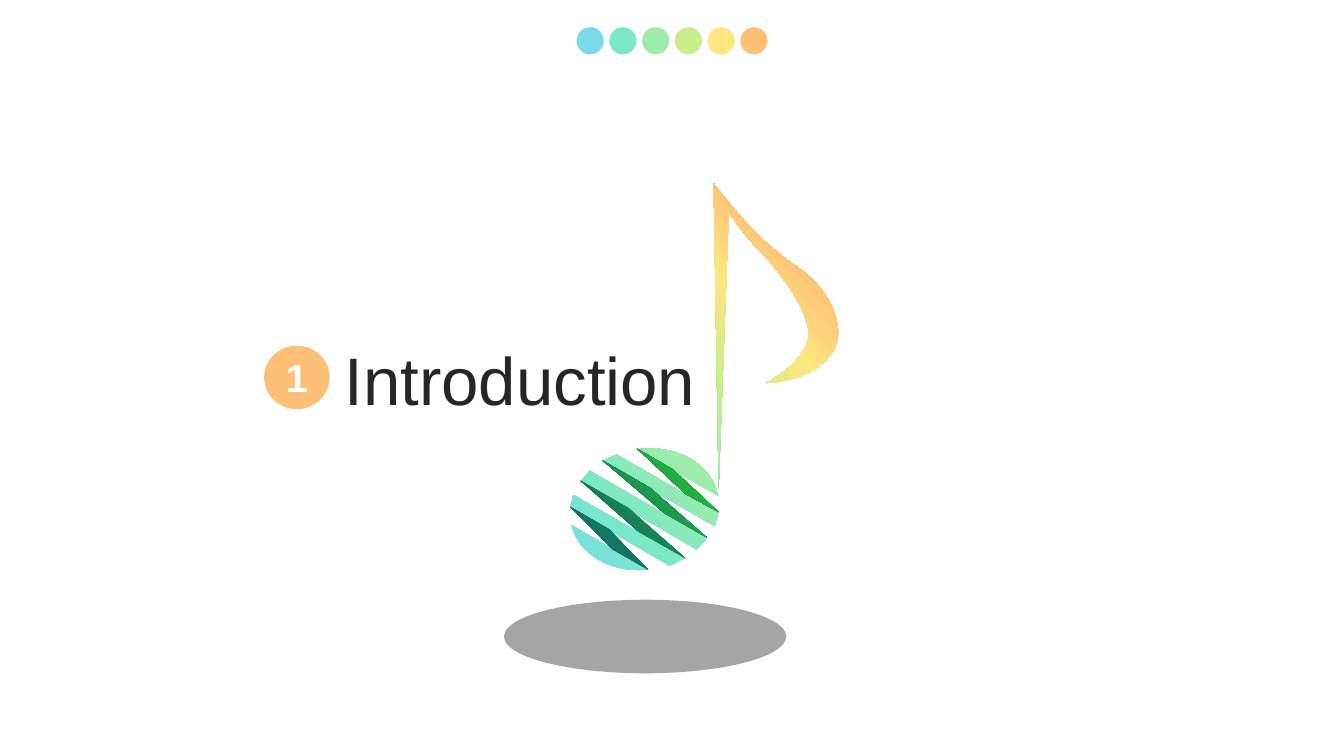
from dataclasses import dataclass

from lxml import etree
from pptx import Presentation
from pptx.dml.color import RGBColor
from pptx.enum.shapes import MSO_SHAPE
from pptx.enum.text import MSO_ANCHOR, MSO_AUTO_SIZE, PP_ALIGN
from pptx.oxml.ns import qn
from pptx.shapes.autoshape import Shape
from pptx.util import Inches, Pt

OVAL = MSO_SHAPE.OVAL
TOP, MIDDLE = MSO_ANCHOR.TOP, MSO_ANCHOR.MIDDLE
CENTER, RIGHT = PP_ALIGN.CENTER, PP_ALIGN.RIGHT
GROW = MSO_AUTO_SIZE.SHAPE_TO_FIT_TEXT

Path = list[tuple[float, ...]]
Stops = list[tuple[int, str]]


@dataclass(frozen=True)
class Theme:
    font: str = "Arial"
    ink: str = "262626"
    white: str = "FFFFFF"
    shade: str = "A5A5A5"
    sky: str = "7ADAE8"
    mint: str = "7AE8C8"
    green: str = "9EECAC"
    lime: str = "CAEE8C"
    yellow: str = "FEE680"
    orange: str = "FEC076"
    title: int = 48
    badge: int = 28


@dataclass(frozen=True)
class Box:
    left: float
    top: float
    width: float
    height: float

    def emu(self) -> tuple[int, ...]:
        return tuple(Inches(v) for v in (self.left, self.top, self.width, self.height))


@dataclass(frozen=True)
class Oval:
    box: Box
    color: str


@dataclass(frozen=True)
class Label:
    box: Box
    text: str
    size: int
    color: str
    align: PP_ALIGN
    anchor: MSO_ANCHOR
    inset: float
    bold: bool = False


@dataclass(frozen=True)
class Form:
    width: float
    height: float
    paths: list[Path]
    stops: Stops


THEME = Theme()

DOTS = [
    Oval(Box(5.72 + i * 0.65 / 2, 0.27, 0.27, 0.27), color)
    for i, color in enumerate(
        (THEME.sky, THEME.mint, THEME.green, THEME.lime, THEME.yellow, THEME.orange)
    )
]
SHADE = Oval(Box(5, 5.95, 2.8, 0.73), THEME.shade)
BADGE = Oval(Box(2.62, 3.43, 0.65, 0.63), THEME.orange)

TITLE = Label(Box(3.27, 3.3, 3.73, 0.91), "Introduction", THEME.title, THEME.ink,
              RIGHT, MIDDLE, 0.1)
NUMBER = Label(Box(2.55, 3.46, 0.79, 0.57), "1", THEME.badge, THEME.white,
               CENTER, TOP, 0.12, True)

NOTE = Form(
    2.65,
    3.84,
    [
        [(5.67, 5.21), (6.43, 5.65), (6.06, 5.69, 5.74, 5.5, 5.67, 5.21)],
        [(5.69, 4.91), (6.79, 5.54), (6.74, 5.56, 6.69, 5.59, 6.64, 5.61),
         (5.66, 5.04), (5.66, 5, 5.68, 4.95, 5.69, 4.91)],
        [(5.85, 4.67), (7.01, 5.34), (6.98, 5.38, 6.95, 5.41, 6.91, 5.45),
         (5.76, 4.78), (5.79, 4.74, 5.82, 4.71, 5.85, 4.67)],
        [(6.12, 4.51), (7.12, 5.09), (7.12, 5.13, 7.1, 5.17, 7.09, 5.22),
         (5.98, 4.58), (6.02, 4.55, 6.07, 4.53, 6.12, 4.51)],
        [(6.46, 4.45), (6.79, 4.45, 7.07, 4.64, 7.12, 4.91),
         (7.12, 4.92, 7.12, 4.92, 7.13, 4.92), (6.32, 4.46),
         (6.37, 4.45, 6.42, 4.45, 6.46, 4.45)],
        [(7.08, 1.82), (7.24, 2.02), (7.24, 2.02), (7.3, 2.09),
         (7.44, 2.26, 7.64, 2.46, 7.9, 2.64), (8.39, 2.98, 8.31, 3.37, 8.31, 3.37),
         (8.31, 3.37, 8.25, 3.76, 7.6, 3.8), (7.6, 3.8, 7.97, 3.61, 8.02, 3.35),
         (8.06, 3.1, 7.67, 2.62, 7.53, 2.48), (7.52, 2.48, 7.38, 2.33, 7.26, 2.15),
         (7.23, 2.12), (7.13, 4.85)],
    ],
    [(0, THEME.sky), (15, THEME.mint), (34, THEME.green), (51, THEME.lime),
     (68, THEME.yellow), (83, THEME.orange), (100, THEME.orange)],
)
FOLDS = Form(
    1.47,
    1.2,
    [
        [(5.66, 5.03), (6.04, 5.25), (6.43, 5.65), (6.08, 5.45)],
        [(5.76, 4.77), (6.23, 5.04), (6.79, 5.53), (6.33, 5.27)],
        [(5.98, 4.57), (6.45, 4.84), (7.01, 5.33), (6.59, 5.09)],
        [(6.32, 4.45), (6.68, 4.66), (7.13, 5.08), (6.8, 4.9)],
    ],
    [(0, "146C78"), (34, "14785B"), (80, "23B53D"), (100, "7CB51A")],
)


def points(path: Path) -> list[tuple[int, int]]:
    flat = [Inches(v) for part in path for v in part]
    return list(zip(flat[::2], flat[1::2]))


def bend(shape: Shape, form: Form) -> None:
    shape.width, shape.height = Inches(form.width), Inches(form.height)
    trail = next(shape.element.iter(qn("a:path")))
    trail.set("w", str(shape.width))
    trail.set("h", str(shape.height))
    lines = iter(trail.findall(qn("a:lnTo")))
    for part in (part for path in form.paths for part in path[1:]):
        line = next(lines)
        if len(part) == 2:
            continue
        curve = etree.Element(qn("a:cubicBezTo"))
        line.addprevious(curve)
        for leg in (line, next(lines), next(lines)):
            curve.append(leg[0])
            trail.remove(leg)


def blend(shape: Shape, stops: Stops) -> None:
    shape.fill.gradient()
    shape.fill.gradient_angle = 45
    holder = shape.element.spPr.find(qn("a:gradFill")).find(qn("a:gsLst"))
    for old in list(holder):
        holder.remove(old)
    for place, color in stops:
        stop = etree.SubElement(holder, qn("a:gs"), pos=str(place * 1000))
        etree.SubElement(stop, qn("a:srgbClr"), val=color)


def strip(shape: Shape) -> None:
    shape.line.fill.background()
    shape.shadow.inherit = False


def draw_form(shapes, form: Form) -> None:
    first, *rest = [points(path) for path in form.paths]
    pen = shapes.build_freeform(*first[0])
    pen.add_line_segments(first[1:], close=True)
    for spots in rest:
        pen.move_to(*spots[0])
        pen.add_line_segments(spots[1:], close=True)
    shape = pen.convert_to_shape()
    bend(shape, form)
    blend(shape, form.stops)
    strip(shape)


def draw_oval(shapes, oval: Oval) -> None:
    shape = shapes.add_shape(OVAL, *oval.box.emu())
    shape.fill.solid()
    shape.fill.fore_color.rgb = RGBColor.from_string(oval.color)
    strip(shape)


def draw_label(shapes, label: Label) -> None:
    frame = shapes.add_textbox(*label.box.emu()).text_frame
    frame.word_wrap = True
    frame.auto_size = GROW
    frame.vertical_anchor = label.anchor
    frame.margin_left = frame.margin_right = Inches(label.inset)
    frame.margin_top = frame.margin_bottom = Inches(0.05)
    para = frame.paragraphs[0]
    para.text = label.text
    para.alignment = label.align
    para.font.name = THEME.font
    para.font.size = Pt(label.size)
    para.font.bold = label.bold
    para.font.color.rgb = RGBColor.from_string(label.color)


def main() -> None:
    deck = Presentation()
    deck.slide_width, deck.slide_height = Inches(40 / 3), Inches(7.5)
    shapes = deck.slides.add_slide(deck.slide_layouts[6]).shapes
    draw_label(shapes, TITLE)
    music = shapes.add_group_shape().shapes
    for form in (NOTE, FOLDS):
        draw_form(music, form)
    draw_oval(music, SHADE)
    row = shapes.add_group_shape().shapes
    for dot in DOTS:
        draw_oval(row, dot)
    draw_oval(shapes, BADGE)
    draw_label(shapes, NUMBER)
    deck.save("out.pptx")


if __name__ == "__main__":
    main()
